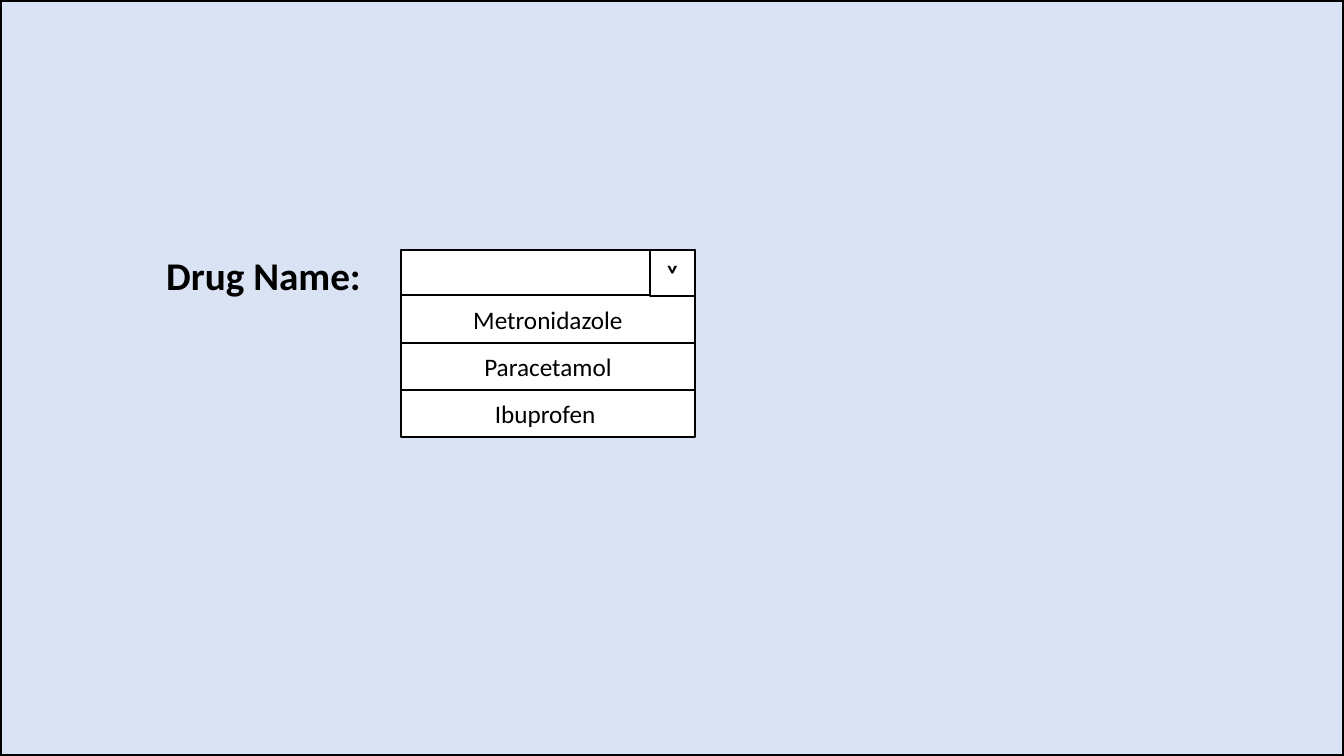
from pptx import Presentation
from pptx.dml.color import RGBColor
from pptx.enum.shapes import MSO_SHAPE as Shape
from pptx.enum.text import MSO_ANCHOR as Anchor, PP_ALIGN as Align
from pptx.util import Inches, Pt

BLACK = RGBColor(0x00, 0x00, 0x00)
WHITE = RGBColor(0xFF, 0xFF, 0xFF)
PALE = RGBColor(0xDA, 0xE3, 0xF3)
WIDE, HIGH = 13.33, 7.5
LEFT, TOP, SPAN, ROW = 3.98, 2.48, 2.91, 0.47
ARROW = 0.44
DRUGS = ["Metronidazole", "Paracetamol", "Ibuprofen "]


class Form:
    """Draw form elements on one slide in a shared style."""

    def __init__(self, slide):
        self.slide = slide
        self.style = {"name": "Calibri", "size": Pt(18), "bold": False}

    def letter(self, frame, text, **extra):
        para = frame.paragraphs[0]
        run = para.add_run()
        run.text = text
        for key, value in {**self.style, **extra}.items():
            setattr(run.font, key, value)
        run.font.color.rgb = BLACK
        return para

    def box(self, x, y, w, h, text="", fill=WHITE, line=1.5, **extra):
        rect = self.slide.shapes.add_shape(
            Shape.RECTANGLE, Inches(x), Inches(y), Inches(w), Inches(h))
        rect.shadow.inherit = False
        rect.fill.solid()
        rect.fill.fore_color.rgb = fill
        rect.line.color.rgb = BLACK
        rect.line.width = Pt(line)
        if text:
            frame = rect.text_frame
            frame.vertical_anchor = Anchor.MIDDLE
            self.letter(frame, text, **extra).alignment = Align.CENTER

    def label(self, x, y, w, h, text, **extra):
        area = self.slide.shapes.add_textbox(
            Inches(x), Inches(y), Inches(w), Inches(h))
        area.text_frame.word_wrap = True
        self.letter(area.text_frame, text, **extra)


def main():
    deck = Presentation()
    deck.slide_width, deck.slide_height = Inches(WIDE), Inches(HIGH)
    form = Form(deck.slides.add_slide(deck.slide_layouts[6]))
    form.box(0, 0, WIDE, HIGH, fill=PALE, line=2.25)
    form.label(1.55, 2.44, 4.05, 0.57, "Drug Name:", size=Pt(28), bold=True)
    form.box(LEFT, TOP, SPAN, ROW)
    for i, drug in enumerate(DRUGS):
        form.box(LEFT, 2.93 + i * ROW, SPAN, ROW, drug)
    form.box(LEFT + SPAN - ARROW, TOP, ARROW, 0.46, "˅", bold=True)
    deck.save("out.pptx")


if __name__ == "__main__":
    main()
